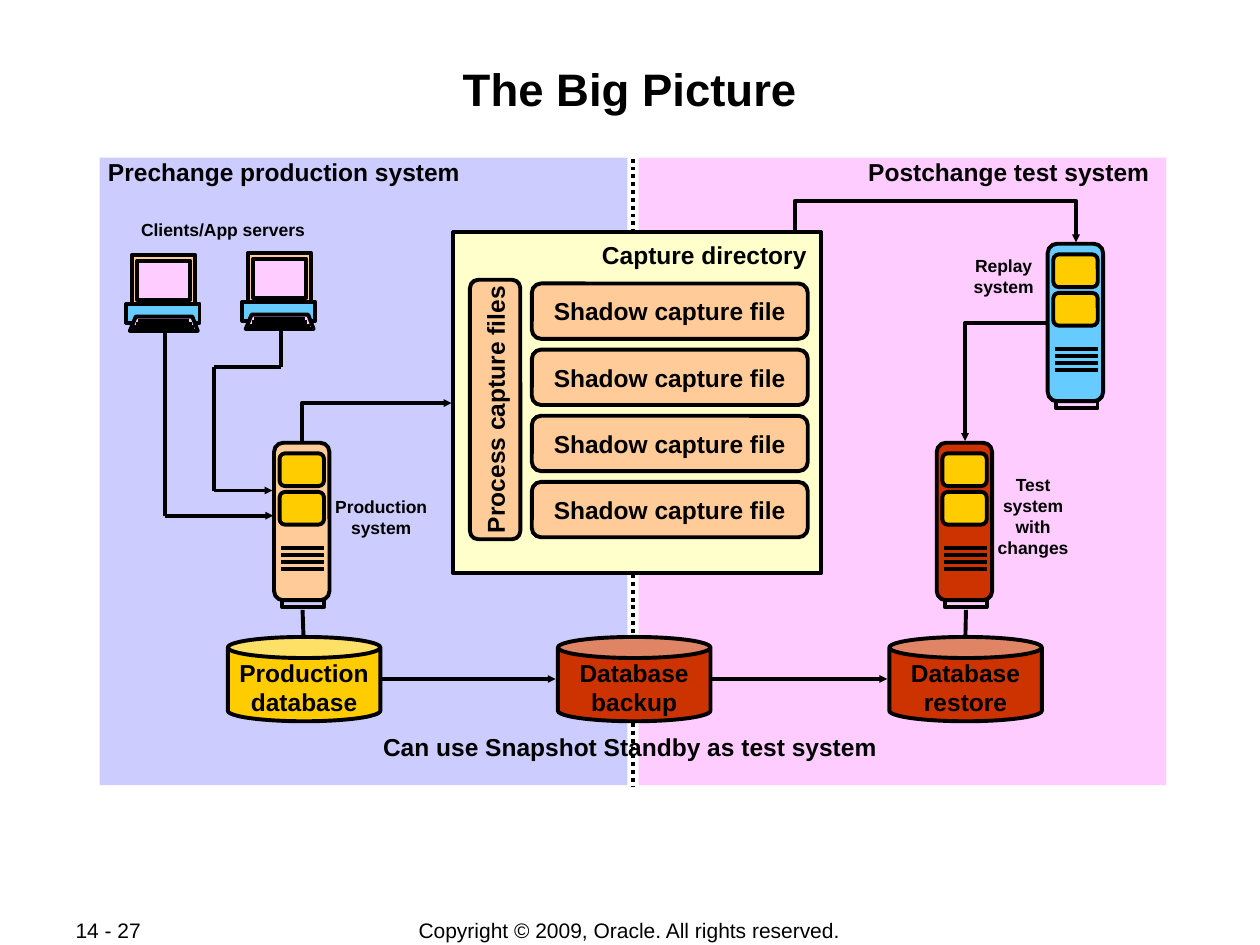
from dataclasses import dataclass
from math import cos, radians, sin

from lxml.etree import SubElement
from pptx import Presentation
from pptx.dml.color import RGBColor
from pptx.enum.dml import MSO_LINE
from pptx.enum.shapes import MSO_CONNECTOR, MSO_SHAPE
from pptx.enum.text import MSO_ANCHOR, PP_ALIGN
from pptx.oxml.ns import qn
from pptx.util import Pt


@dataclass(frozen=True)
class Theme:
    font: str = "Arial"
    black: str = "000000"
    lilac: str = "CCCCFF"
    pink: str = "FFCCFF"
    cream: str = "FFFFCC"
    peach: str = "FFCC99"
    gold: str = "FFCC00"
    red: str = "CC3300"
    sky: str = "66CCFF"
    gray: str = "CCCCCC"
    title: float = 26
    label: float = 14
    footer: float = 12
    small: float = 10
    stroke: float = 2.25


theme = Theme()
deck = Presentation()
deck.slide_width, deck.slide_height = Pt(720), Pt(540)
page = deck.slides.add_slide(deck.slide_layouts[6])


def add_box(kind, frame, fill=None, text="", size=theme.label, bold=True,
            align=PP_ALIGN.CENTER, outlined=True):
    """Add a preset shape, or a plain text box when kind is None."""
    lengths = [Pt(value) for value in frame]
    if kind is None:
        box = page.shapes.add_textbox(*lengths)
    else:
        box = page.shapes.add_shape(kind, *lengths)
        box.shadow.inherit = False
        if fill:
            box.fill.solid()
            box.fill.fore_color.rgb = RGBColor.from_string(fill)
        else:
            box.fill.background()
        if outlined:
            box.line.color.rgb = RGBColor.from_string(theme.black)
            box.line.width = Pt(theme.stroke)
        else:
            box.line.fill.background()
        box.text_frame.margin_top = box.text_frame.margin_bottom = 0
        box.text_frame.vertical_anchor = MSO_ANCHOR.MIDDLE
    if text:
        box.text_frame.margin_left = box.text_frame.margin_right = 0
        box.text_frame.word_wrap = False
        para = box.text_frame.paragraphs[0]
        para.text = text
        para.alignment = align
        for span in para.runs:
            span.font.name = theme.font
            span.font.size = Pt(size)
            span.font.bold = bold
            span.font.color.rgb = RGBColor.from_string(theme.black)
    return box


def add_line(start, end, arrow=False, kind=MSO_CONNECTOR.STRAIGHT):
    line = page.shapes.add_connector(kind, *[Pt(value) for value in (*start, *end)])
    line.line.color.rgb = RGBColor.from_string(theme.black)
    line.line.width = Pt(theme.stroke)
    if arrow:
        SubElement(line.line._get_or_add_ln(), qn("a:tailEnd"),
                   type="triangle", w="sm", len="sm")
    SubElement(line._element.spPr, qn("a:effectLst"))
    return line


# Footer and title
add_box(None, (198, 524, 323.3, 15), text="Copyright © 2009, Oracle. All rights reserved.",
        size=theme.footer, bold=False).text_frame.vertical_anchor = MSO_ANCHOR.MIDDLE
add_box(None, (43.2, 524, 69, 15), text="14 - 27", size=theme.footer, bold=False,
        align=PP_ALIGN.JUSTIFY).text_frame.vertical_anchor = MSO_ANCHOR.MIDDLE
add_box(None, (48.2, 31.6, 623.5, 69), text="The Big Picture", size=theme.title)

# Two halves with a dotted divider
add_line((361.5, 90.7), (361.5, 449.3)).line.dash_style = MSO_LINE.ROUND_DOT
for left, fill in ((365, theme.pink), (57, theme.lilac)):
    add_box(MSO_SHAPE.RECTANGLE, (left, 90, 301.5, 358.6), fill, outlined=False)
add_box(None, (54.7, 86, 215.3, 24.5), text="Prechange production system")
add_box(None, (489, 86, 175, 24.5), text="Postchange test system")

# Capture directory
add_box(MSO_SHAPE.RECTANGLE, (259, 132.7, 210.2, 195), theme.cream)
add_box(None, (337, 133.7, 131, 24.5), text="Capture directory")
for row in range(4):
    add_box(MSO_SHAPE.ROUNDED_RECTANGLE, (303.9, 162 + 37.8 * row, 157.7, 31.6),
            theme.peach, "Shadow capture file")
process_files = add_box(MSO_SHAPE.ROUNDED_RECTANGLE, (208.8, 219.6, 148.3, 28.8),
                        theme.peach, "Process capture files")
process_files.rotation = 270

# Servers
for left, top, fill in ((156.6, 253, theme.peach), (535.3, 253, theme.red),
                        (598.7, 139.3, theme.sky)):
    add_box(MSO_SHAPE.ROUNDED_RECTANGLE, (left, top, 31.7, 90), fill)
    for vent in range(4):
        height = top + 60.2 + 4.05 * vent
        add_line((left + 3.9, height), (left + 28.6, height))
    add_box(MSO_SHAPE.RECTANGLE, (left + 4.7, top + 89.7, 23.8, 4.3))
    for drive in range(2):
        add_box(MSO_SHAPE.ROUNDED_RECTANGLE,
                (left + 3.2, top + 6.1 + 22 * drive, 25.4, 18.7), theme.gold)

# Databases
for left, fill, name in ((130.2, theme.gold, "Production\ndatabase"),
                         (318.8, theme.red, "Database\nbackup"),
                         (508.2, theme.red, "Database\nrestore")):
    database = add_box(MSO_SHAPE.CAN, (left, 364, 87.2, 48.2), fill, name)
    database.text_frame.margin_top = Pt(3)
add_line((172.9, 348.5), (173.4, 363))
add_line((552, 348.5), (551.7, 363))
add_line((218.2, 388), (317.5, 388), arrow=True)
add_line((406.8, 388), (507, 388), arrow=True)

# Bent arrows: start, end, quarter-turn angle, preset, bend position
for start, end, angle, preset, bend in (
        ((172.4, 252.4), (258, 230.4), 90, "bentConnector2", None),
        ((454.3, 132.5), (614.9, 138.5), 270, "bentConnector3", -2.95),
        ((598, 184.5), (551.5, 252), 0, "bentConnector2", None)):
    center = [(first + last) / 2 for first, last in zip(start, end)]
    across, down = start[0] - center[0], start[1] - center[1]
    turn = radians(angle)
    offset_x = across * cos(turn) + down * sin(turn)
    offset_y = down * cos(turn) - across * sin(turn)
    elbow = add_line((center[0] + offset_x, center[1] + offset_y),
                     (center[0] - offset_x, center[1] - offset_y),
                     arrow=True, kind=MSO_CONNECTOR.ELBOW)
    properties = elbow._element.spPr
    properties.find(qn("a:xfrm")).set("rot", str(angle * 60000))
    geometry = properties.find(qn("a:prstGeom"))
    geometry.set("prst", preset)
    if bend is not None:
        adjustments = geometry.find(qn("a:avLst"))
        SubElement(adjustments, qn("a:gd"), name="adj1", fmla=f"val {round(bend * 100000)}")

# Client computers
for left, top in ((75.6, 145.6), (141.8, 144.5)):
    for frame, fill in (((14.4, 36.7, 8.6, 6.5), theme.gray),
                        ((0, 0, 36, 28), theme.peach),
                        ((2.9, 3.3, 30.2, 22.3), theme.pink),
                        ((-3.4, 28, 41.8, 10.8), theme.sky)):
        add_box(MSO_SHAPE.RECTANGLE, (left + frame[0], top + frame[1], *frame[2:]), fill)
    outline = page.shapes.build_freeform(Pt(left + 2), Pt(top + 35.3))
    outline.add_line_segments([(Pt(left + x), Pt(top + y)) for x, y in
                               ((34.3, 35.3), (37.4, 43.5), (-1.4, 43.5))])
    keyboard = outline.convert_to_shape()
    keyboard.shadow.inherit = False
    keyboard.fill.solid()
    keyboard.fill.fore_color.rgb = RGBColor.from_string(theme.pink)
    keyboard.line.color.rgb = RGBColor.from_string(theme.black)
    keyboard.line.width = Pt(theme.stroke)
    for indent, height in ((3.5, 38), (2.1, 39.7), (0.7, 41.5)):
        add_line((left + indent, top + height), (left + 36 - indent, top + height))

# Client connections to the production server
for route in (((94.3, 189.4), (94.3, 294.7), (156.2, 294.7)),
              ((160.6, 188.6), (160.6, 209.7), (122.4, 209.7), (122.4, 280.3), (155.7, 280.3))):
    for start, end in zip(route, route[1:]):
        add_line(start, end, arrow=end == route[-1])

# Labels
for frame, text in (((549.4, 142.3, 48.2, 31.7), "Replay\nsystem"),
                    ((563, 267.5, 54.7, 55.4), "Test\nsystem\nwith\nchanges"),
                    ((184.3, 279.9, 67, 31.7), "Production\nsystem"),
                    ((73.4, 121.7, 108, 19.4), "Clients/App servers")):
    add_box(None, frame, text=text, size=theme.small)
note = add_box(None, (218.9, 416.9, 292.3, 22.3), align=PP_ALIGN.LEFT,
               text="Can use Snapshot Standby as test system")
note.text_frame.word_wrap = True
note.text_frame.paragraphs[0].line_spacing = 0.9

deck.save("out.pptx")
